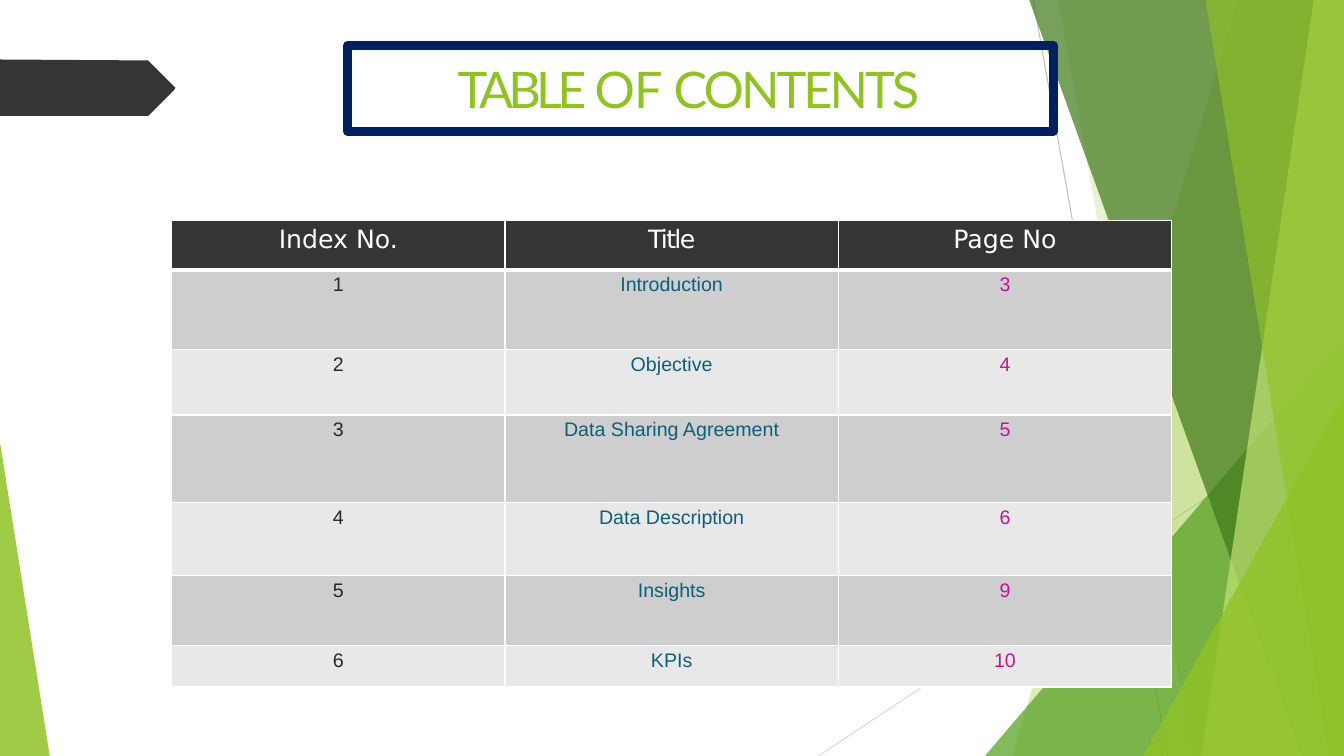
from dataclasses import dataclass

from lxml.etree import SubElement
from pptx import Presentation
from pptx.dml.color import RGBColor as RGB
from pptx.enum.shapes import MSO_SHAPE as SHAPE, MSO_CONNECTOR as CONN
from pptx.enum.text import MSO_ANCHOR as ANCHOR, MSO_AUTO_SIZE as AUTO, PP_ALIGN as ALIGN
from pptx.oxml.ns import qn
from pptx.util import Inches, Pt


@dataclass(frozen=True)
class Theme:
    lime: str = "90C226"
    pale: str = "C0E474"
    leaf: str = "54A021"
    forest: str = "3F7819"
    navy: str = "001F5F"
    dark: str = "353535"
    white: str = "FFFFFF"
    ink: str = "282828"
    teal: str = "0E5E7B"
    magenta: str = "BE1697"
    bands: tuple = ("CECECE", "E8E8E8")
    title_font: str = "Lato"
    head_font: str = "DejaVu Sans"
    body_font: str = "Arial"
    title_size: int = 36
    head_size: int = 18
    body_size: int = 14


T = Theme()
W, H = Inches(13.333), Inches(7.5)

HEADS = [("Index No.", 0), ("Title", -1.2), ("Page No", 0)]
ENTRIES = [("1", "Introduction", "3"), ("2", "Objective", "4"),
           ("3", "Data Sharing Agreement", "5"), ("4", "Data Description", "6"),
           ("5", "Insights", "9"), ("6", "KPIs", "10")]
ROW_SHARES = [6.5, 10.53, 8.67, 11.6, 9.6, 9.33, 5.47]


# Lengths are percentages of the slide's width and height
def x(share):
    return round(W * share / 100)


def y(share):
    return round(H * share / 100)


def box(left, top, width, height):
    return x(left), y(top), x(width), y(height)


def paint(sp, color, alpha=100):
    sp.shadow.inherit = False
    sp.line.fill.background()
    sp.fill.solid()
    sp.fill.fore_color.rgb = RGB.from_string(color)
    if alpha < 100:
        clr = sp._element.spPr.find(qn("a:solidFill"))[0]
        SubElement(clr, qn("a:alpha")).set("val", str(alpha * 1000))


def polygon(s, points, color, alpha=100):
    start, *rest = [(x(px), y(py)) for px, py in points]
    fb = s.shapes.build_freeform(*start, scale=1.0)
    fb.add_line_segments(rest, close=True)
    paint(fb.convert_to_shape(), color, alpha)


def facet(s, top_x, bottom_x, color, alpha):
    """Band from a slanted left edge to the right side of the slide."""
    polygon(s, [(top_x, 0), (100, 0), (100, 100), (bottom_x, 100)], color, alpha)


def corner(s, left, top, width, apex, color, alpha):
    """Right triangle standing on the bottom edge."""
    sp = s.shapes.add_shape(SHAPE.ISOSCELES_TRIANGLE, *box(left, top, width, 100 - top))
    sp.adjustments[0] = apex
    paint(sp, color, alpha)


def hairline(s, x1, y1, x2, y2, color):
    ln = s.shapes.add_connector(CONN.STRAIGHT, x(x1), y(y1), x(x2), y(y2))
    ln.line.color.rgb = RGB.from_string(color)
    ln.line.width = Pt(0.75)
    SubElement(ln._element.spPr, qn("a:effectLst"))


def write(p, text, font, size, color, spacing=0):
    r = p.add_run()
    r.text = text
    r.font.name, r.font.size, r.font.bold = font, Pt(size), False
    r.font.color.rgb = RGB.from_string(color)
    if spacing:
        r._r.get_or_add_rPr().set("spc", str(round(spacing * 100)))


def border(cell, **widths):
    tcPr = cell._tc.get_or_add_tcPr()
    for i, side in enumerate(("L", "R", "T", "B")):
        ln = tcPr.makeelement(qn("a:ln" + side), {"w": str(Pt(widths.get(side, 1)))})
        fill = SubElement(ln, qn("a:solidFill"))
        SubElement(fill, qn("a:srgbClr")).set("val", T.white)
        tcPr.insert(i, ln)


def fill_cell(cell, text, fill, **fmt):
    cell.margin_left = cell.margin_right = cell.margin_bottom = 0
    cell.margin_top = Inches(0.04)
    cell.fill.solid()
    cell.fill.fore_color.rgb = RGB.from_string(fill)
    p = cell.text_frame.paragraphs[0]
    p.alignment, p.space_before = ALIGN.CENTER, Pt(3.2)
    write(p, text, **fmt)


def backdrop(s):
    hairline(s, 76.88, 0, 86.88, 100, "BFBFBF")
    hairline(s, 100, 53.73, 60.9, 100, "D9D9D9")
    facet(s, 92.1, 75.3, T.lime, 30)
    facet(s, 78.75, 88.75, T.lime, 20)
    corner(s, 73.28, 44.4, 26.72, 1, T.leaf, 72)
    facet(s, 76.58, 96.85, T.forest, 70)
    facet(s, 97.75, 89.4, T.pale, 70)
    facet(s, 89.7, 98.88, T.lime, 65)
    corner(s, 85.05, 52.4, 14.95, 1, T.lime, 80)
    corner(s, 0, 58.53, 3.7, 0, T.lime, 85)
    # Tag pointing in from the left edge
    polygon(s, [(0, 7.87), (0, 15.33), (11.03, 15.33), (11.1, 15.2), (12.98, 11.87),
                (13.05, 11.6), (12.98, 11.47), (11.1, 8.13), (11.03, 8)], T.dark)


def contents_table(s):
    tbl = s.shapes.add_table(len(ROW_SHARES), len(HEADS),
                             *box(12.78, 29.2, 74.4, sum(ROW_SHARES))).table
    for row, share in zip(tbl.rows, ROW_SHARES):
        row.height = y(share)
    for c, (text, spacing) in enumerate(HEADS):
        cell = tbl.cell(0, c)
        fill_cell(cell, text, T.dark, font=T.head_font, size=T.head_size,
                  color=T.white, spacing=spacing)
        border(cell, B=3)
    for i, entry in enumerate(ENTRIES):
        for c, (text, color) in enumerate(zip(entry, (T.ink, T.teal, T.magenta))):
            cell = tbl.cell(i + 1, c)
            fill_cell(cell, text, T.bands[i % 2], font=T.body_font,
                      size=T.body_size, color=color)
            border(cell, T=1 if i else 3)


def heading(s):
    # Frame
    sp = s.shapes.add_shape(SHAPE.RECTANGLE, *box(25.88, 6, 52.5, 11.4))
    sp.shadow.inherit = False
    sp.fill.background()
    sp.line.color.rgb = RGB.from_string(T.navy)
    sp.line.width = Pt(6.25)
    # Title, raised above the frame
    title = s.shapes.title
    s.shapes._spTree.append(title._element)
    title.left, title.top, title.width, title.height = box(34.05, 7.5, 36.1, 8.4)
    tf = title.text_frame
    tf.word_wrap, tf.auto_size = True, AUTO.SHAPE_TO_FIT_TEXT
    tf.vertical_anchor = ANCHOR.TOP
    tf.margin_left = tf.margin_right = tf.margin_bottom = 0
    tf.margin_top = Inches(0.01)
    p = tf.paragraphs[0]
    p.alignment, p.space_before = ALIGN.LEFT, Pt(1)
    for text, spacing in (("TABLE ", -3.4), ("OF ", -0.6), ("CONTENTS", -2.1)):
        write(p, text, T.title_font, T.title_size, T.lime, spacing)


def main():
    prs = Presentation()
    prs.slide_width, prs.slide_height = W, H
    s = prs.slides.add_slide(prs.slide_layouts[5])
    backdrop(s)
    contents_table(s)
    heading(s)
    prs.save("out.pptx")


if __name__ == "__main__":
    main()
